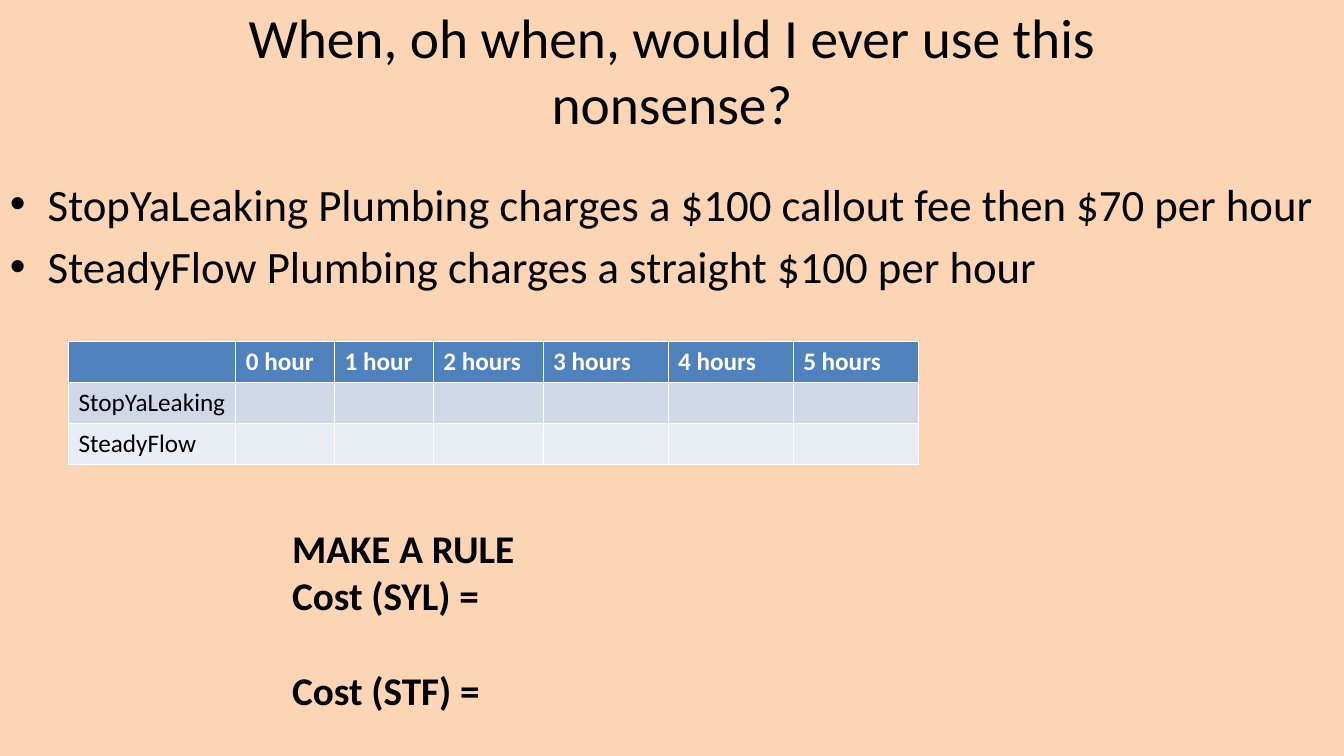
from lxml import etree
from pptx import Presentation
from pptx.dml.color import RGBColor
from pptx.enum import text
from pptx.oxml.ns import qn
from pptx.util import Pt


def paint(fill, color):
    fill.solid()
    fill.fore_color.rgb = RGBColor.from_string(color)


def style(paragraph, size, color="000000", bold=False):
    font = paragraph.font
    for run in paragraph.runs:
        font = run.font
    font.name = "Calibri"
    font.size = Pt(size)
    font.bold = bold
    paint(font.fill, color)


deck = Presentation()
deck.slide_width, deck.slide_height = Pt(960), Pt(540)
slide = deck.slides.add_slide(deck.slide_layouts[5])
paint(slide.background.fill, "FCD5B5")

# Title
title = slide.shapes.title
title.left, title.top, title.width, title.height = Pt(120), Pt(0), Pt(720), Pt(99)
heading = title.text_frame
heading.text = "When, oh when, would I ever use this nonsense?"
heading.word_wrap = True
heading.auto_size = text.MSO_AUTO_SIZE.NONE
heading.vertical_anchor = text.MSO_ANCHOR.MIDDLE
heading.paragraphs[0].alignment = text.PP_ALIGN.CENTER
style(heading.paragraphs[0], 39.6)

# Plumbers' charges
charges = slide.shapes.add_textbox(Pt(0), Pt(122.4), Pt(960), Pt(356.4)).text_frame
charges.word_wrap = True
charges.text = ("StopYaLeaking Plumbing charges a $100 callout fee then $70 per hour\n"
                "SteadyFlow Plumbing charges a straight $100 per hour")
for charge in charges.paragraphs:
    props = charge._p.get_or_add_pPr()
    props.set("marL", str(Pt(27)))
    props.set("indent", str(Pt(-27)))
    etree.SubElement(props, qn("a:buFont")).set("typeface", "Arial")
    etree.SubElement(props, qn("a:buChar")).set("char", "•")
    style(charge, 32)
charges.paragraphs[1].space_before = Pt(6.4)

# Cost table
rows = [
    ["", "0 hour", "1 hour", "2 hours", "3 hours", "4 hours", "5 hours"],
    ["StopYaLeaking"] + [""] * 6,
    ["SteadyFlow"] + [""] * 6,
]
row_fills = ["4F81BD", "D0D8E8", "E9EDF4"]
column_widths = [119.5, 70.5, 70.5, 78.5, 89.3, 89.3, 89.3]
costs = slide.shapes.add_table(3, 7, Pt(49), Pt(244), Pt(606.9), Pt(87.6)).table
for column, width in zip(costs.columns, column_widths):
    column.width = Pt(width)
for r, (labels, row_fill) in enumerate(zip(rows, row_fills)):
    costs.rows[r].height = Pt(29.2)
    for c, label in enumerate(labels):
        cell = costs.cell(r, c)
        paint(cell.fill, row_fill)
        cell.text_frame.text = label
        style(cell.text_frame.paragraphs[0], 18, "000000" if r else "FFFFFF", r == 0)

# Rules to complete
rules = slide.shapes.add_textbox(Pt(201.6), Pt(370.8), Pt(453.6), Pt(143.3)).text_frame
rules.word_wrap = True
rules.text = "MAKE A RULE\nCost (SYL) =\nCost (STF) ="
for rule in rules.paragraphs:
    style(rule, 28, bold=True)
rules.paragraphs[2].space_before = Pt(34)

deck.save("out.pptx")
